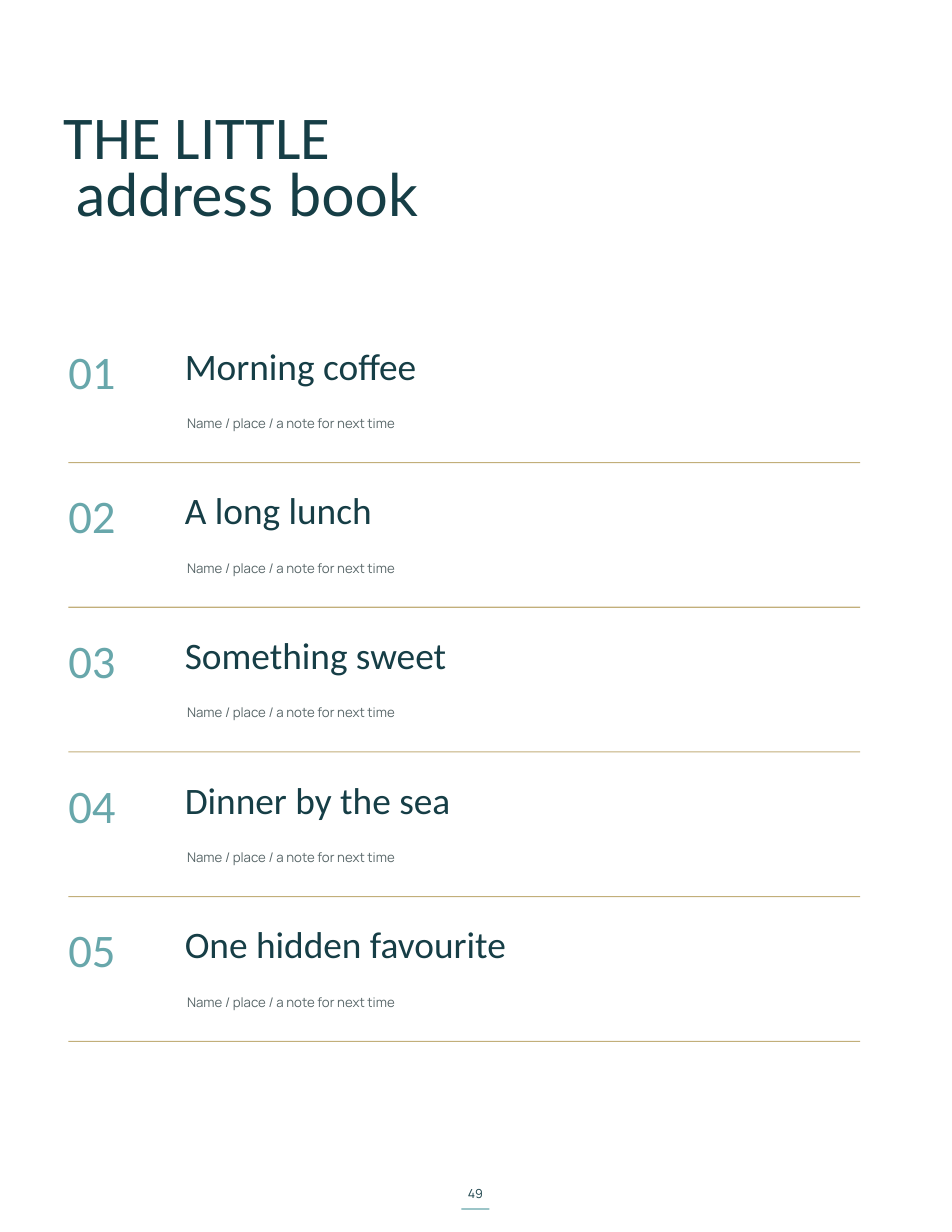
from pptx import Presentation
from pptx.dml.color import RGBColor
from pptx.enum.shapes import MSO_SHAPE
from pptx.enum.text import MSO_ANCHOR, MSO_AUTO_SIZE, PP_ALIGN
from pptx.util import Inches, Pt

COLUMNS, ROWS = 85, 110
INK, TEAL, GOLD, GREY = "163E46", "68A7AB", "C2AF7A", "596769"
ENTRIES = ["Morning coffee", "A long lunch", "Something sweet",
           "Dinner by the sea", "One hidden favourite"]
PROMPT = "Name / place / a note for next time"
FIRST_ROW, ENTRY_ROWS = 30.7, 12.92


def color(value):
    """Turn a hex string into a colour."""
    return RGBColor.from_string(value)


def write(box, text, *, size, leading, font="Calibri", ink=INK, align=PP_ALIGN.LEFT):
    """Fill a box with one formatted paragraph."""
    frame = box.text_frame
    frame.margin_left = frame.margin_right = frame.margin_top = frame.margin_bottom = 0
    frame.word_wrap = True
    frame.auto_size = MSO_AUTO_SIZE.NONE
    frame.vertical_anchor = MSO_ANCHOR.TOP
    para = frame.paragraphs[0]
    para.alignment = align
    para.line_spacing = Pt(leading)
    para.space_before = Pt(0)
    span = para.add_run()
    span.text = text
    span.font.name = font
    span.font.size = Pt(size)
    span.font.color.rgb = color(ink)


class AddressPage:
    """Hold the deck, its grid and the current page."""

    def __init__(self):
        """Start a portrait deck with one titled page."""
        self.deck = Presentation()
        self.deck.slide_width, self.deck.slide_height = Inches(8.5), Inches(11)
        self.page = self.deck.slides.add_slide(self.deck.slide_layouts[5])
        self.page.background.fill.solid()
        self.page.background.fill.fore_color.rgb = color("FFFFFF")

    def place(self, column, row, columns, rows):
        """Convert grid units to slide lengths."""
        across = self.deck.slide_width / COLUMNS
        down = self.deck.slide_height / ROWS
        return (round(column * across), round(row * down),
                round(columns * across), round(rows * down))

    def title(self, text, *area, **style):
        """Move and fill the title placeholder."""
        box = self.page.shapes.title
        box.left, box.top, box.width, box.height = self.place(*area)
        write(box, text, **style)

    def text(self, text, *area, **style):
        """Add a text box."""
        write(self.page.shapes.add_textbox(*self.place(*area)), text, **style)

    def rule(self, column, row, columns, fill):
        """Add a thin filled bar."""
        bar = self.page.shapes.add_shape(
            MSO_SHAPE.RECTANGLE, *self.place(column, row, columns, 0.1))
        bar.shadow.inherit = False
        bar.fill.solid()
        bar.fill.fore_color.rgb = color(fill)
        bar.line.fill.background()

    def entry(self, number, name):
        """Add a numbered entry with its prompt and rule."""
        row = FIRST_ROW + (number - 1) * ENTRY_ROWS
        self.text(f"{number:02}", 6.1, row, 7.8, 7.6, size=30, leading=35.1, ink=TEAL)
        self.text(name, 16.5, row, 60, 6.1, size=24, leading=28.1)
        self.text(PROMPT, 16.7, row + 6, 59.7, 2.8,
                  size=8.5, leading=12.8, font="Manrope", ink=GREY)
        self.rule(6.1, row + 10.55, 70.7, GOLD)


def main():
    """Build and save the address book page."""
    book = AddressPage()
    book.text("49", 40.1, 105.6, 4.7, 2.7, size=8, leading=12,
              font="Manrope", align=PP_ALIGN.CENTER)
    book.rule(41.2, 107.9, 2.5, TEAL)
    book.title("THE LITTLE", 5.7, 9, 73.5, 9.7, size=39, leading=45.6)
    book.text("address book", 6.8, 14.2, 72.4, 9.5, size=37.8, leading=44.3, font="Lato")
    for number, name in enumerate(ENTRIES, 1):
        book.entry(number, name)
    book.deck.save("out.pptx")


if __name__ == "__main__":
    main()
